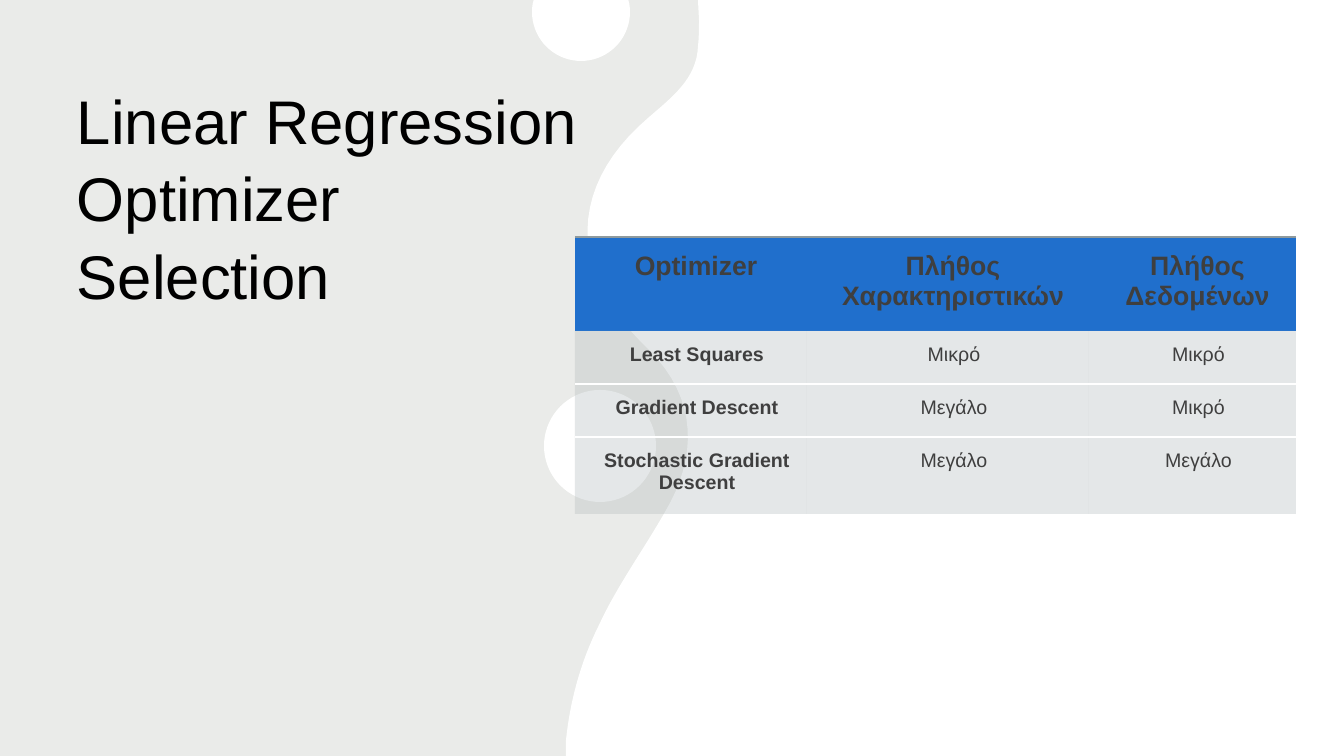
from dataclasses import dataclass
from math import cos, pi, sin

from lxml.etree import SubElement
from pptx import Presentation
from pptx.dml.color import RGBColor
from pptx.enum.shapes import MSO_SHAPE
from pptx.enum.text import MSO_ANCHOR, PP_ALIGN
from pptx.oxml.ns import qn
from pptx.util import Pt

EMU_PER_PX = 914400 / 100.8
SLIDE_WIDTH, SLIDE_HEIGHT = 1344, 756
NO_STYLE_NO_GRID = "{2D5ABB26-0587-4C30-8999-92F81FD0307C}"


@dataclass(frozen=True)
class Theme:
    font: str = "Arial"
    background: str = "F1F3F0"
    tint: str = "AEAEAE"
    wave: str = "FFFFFF"
    title: str = "000000"
    table_text: str = "3F3F3F"
    header: str = "206FCC"
    body: str = "B4BCBE"
    top_rule: str = "8F9A9D"
    row_rule: str = "FFFFFF"
    title_size: int = 44
    header_size: int = 19
    body_size: int = 14
    rule_width: float = 1.5


THEME = Theme()

# Lower left corner of the wave edge, then its Bézier curves upwards
WAVE_START = (566, 740)
WAVE_CURVES = [
    ((570, 702), (580, 663), (599, 625)),
    ((617, 586), (644, 549), (665, 512)),
    ((697, 458), (699, 399), (648, 349)),
    ((629, 330), (610, 309), (599, 285)),
    ((573, 224), (592, 166), (648, 118)),
    ((671, 98), (697, 79), (698, 46)),
    ((699, 37), (699, 29), (699, 20)),
]

COLUMN_WIDTHS = [232, 282, 207]
ROW_HEIGHTS = [94, 53, 53, 77]
OPTIMIZER_ROWS = [
    ["Optimizer", "Πλήθος Χαρακτηριστικών", "Πλήθος Δεδομένων"],
    ["Least Squares", "Μικρό", "Μικρό"],
    ["Gradient Descent", "Μεγάλο", "Μικρό"],
    ["Stochastic Gradient Descent", "Μεγάλο", "Μεγάλο"],
]


def px(value):
    return round(value * EMU_PER_PX)


def set_fill(fill, color, opacity=100):
    fill.solid()
    fill.fore_color.rgb = RGBColor.from_string(color)
    if opacity < 100:
        color_element = fill._xPr.find(f"{qn('a:solidFill')}/{qn('a:srgbClr')}")
        SubElement(color_element, qn("a:alpha"), val=str(opacity * 1000))


def style_shape(shape, color, opacity=100):
    shape.shadow.inherit = False
    shape.line.fill.background()
    set_fill(shape.fill, color, opacity)


def write_text(frame, text, *, size, color, bold=False,
               align=PP_ALIGN.LEFT, line_spacing=1.0):
    frame.word_wrap = True
    paragraph = frame.paragraphs[0]
    paragraph.text = text
    paragraph.alignment = align
    paragraph.line_spacing = line_spacing
    for run in paragraph.runs:
        run.font.name = THEME.font
        run.font.size = Pt(size)
        run.font.bold = bold
        run.font.color.rgb = RGBColor.from_string(color)


def add_panel(slide, color, opacity=100):
    panel = slide.shapes.add_shape(
        MSO_SHAPE.RECTANGLE, 0, 0, px(SLIDE_WIDTH), px(SLIDE_HEIGHT))
    style_shape(panel, color, opacity)


def curve_points(start, curves, steps=16):
    points = [start]
    for first, second, end in curves:
        begin = points[-1]
        for step in range(1, steps + 1):
            t = step / steps
            weights = ((1 - t) ** 3, 3 * t * (1 - t) ** 2, 3 * t * t * (1 - t), t ** 3)
            corners = (begin, first, second, end)
            points.append(tuple(
                sum(weight * corner[axis] for weight, corner in zip(weights, corners))
                for axis in (0, 1)))
    return points


def circle_points(center_x, center_y, radius, steps=72):
    """Circle outline, cut off at the top edge of the slide."""
    angles = [2 * pi * step / steps for step in range(steps)]
    return [(center_x + radius * cos(angle), max(0, center_y + radius * sin(angle)))
            for angle in angles]


def add_outline(slide, contours, color):
    scaled = [[(px(x), px(y)) for x, y in contour] for contour in contours]
    builder = slide.shapes.build_freeform(*scaled[0][0])
    for index, contour in enumerate(scaled):
        if index:
            builder.move_to(*contour[0])
        builder.add_line_segments(contour[1:], close=True)
    style_shape(builder.convert_to_shape(), color)


def add_title(slide, text):
    box = slide.shapes.add_textbox(px(67), px(74), px(523), px(365))
    box.text_frame.vertical_anchor = MSO_ANCHOR.TOP
    write_text(box.text_frame, text, size=THEME.title_size,
               color=THEME.title, line_spacing=1.05)


def add_border(cell, side, color, opacity=100):
    """Draw one cell border; call for the bottom before the top."""
    properties = cell._tc.get_or_add_tcPr()
    line = SubElement(properties, qn(f"a:ln{side}"), w=str(Pt(THEME.rule_width)))
    solid = SubElement(line, qn("a:solidFill"))
    color_element = SubElement(solid, qn("a:srgbClr"), val=color)
    SubElement(color_element, qn("a:alpha"), val=str(opacity * 1000))
    properties.insert(0, line)


def format_cell(cell, text, row, column):
    is_header = row == 0
    inset = px(15 if is_header else 13)
    cell.margin_left = px(25)
    cell.margin_top = cell.margin_right = cell.margin_bottom = inset
    cell.vertical_anchor = MSO_ANCHOR.TOP
    write_text(cell.text_frame, text, color=THEME.table_text,
               size=THEME.header_size if is_header else THEME.body_size,
               bold=is_header or column == 0, align=PP_ALIGN.CENTER)
    if is_header:
        set_fill(cell.fill, THEME.header)
        add_border(cell, "T", THEME.top_rule, 60)
        return
    set_fill(cell.fill, THEME.body, 35)
    if row < len(ROW_HEIGHTS) - 1:
        add_border(cell, "B", THEME.row_rule)
    if row > 1:
        add_border(cell, "T", THEME.row_rule)


def add_optimizer_table(slide):
    frame = slide.shapes.add_table(
        len(ROW_HEIGHTS), len(COLUMN_WIDTHS), px(575), px(237),
        px(sum(COLUMN_WIDTHS)), px(sum(ROW_HEIGHTS)))
    table = frame.table
    table.horz_banding = False
    next(frame.element.iter(qn("a:tableStyleId"))).text = NO_STYLE_NO_GRID
    for column, width in zip(table.columns, COLUMN_WIDTHS):
        column.width = px(width)
    for row, height in zip(table.rows, ROW_HEIGHTS):
        row.height = px(height)
    for row, texts in enumerate(OPTIMIZER_ROWS):
        for column, text in enumerate(texts):
            format_cell(table.cell(row, column), text, row, column)


def main():
    presentation = Presentation()
    presentation.slide_width = px(SLIDE_WIDTH)
    presentation.slide_height = px(SLIDE_HEIGHT)
    slide = presentation.slides.add_slide(presentation.slide_layouts[6])

    # Tinted background
    set_fill(slide.background.fill, THEME.background)
    add_panel(slide, THEME.background)
    add_panel(slide, THEME.tint, 10)

    # White wave with its two circles
    wave = [(698, 0), (SLIDE_WIDTH, 0), (SLIDE_WIDTH, SLIDE_HEIGHT), (566, SLIDE_HEIGHT)]
    wave += curve_points(WAVE_START, WAVE_CURVES)
    circles = [circle_points(600, 446, 56), circle_points(581, 12, 49)]
    add_outline(slide, [wave, *circles], THEME.wave)

    # Title and table
    add_title(slide, "Linear Regression Optimizer\nSelection")
    add_optimizer_table(slide)

    presentation.save("out.pptx")


if __name__ == "__main__":
    main()
